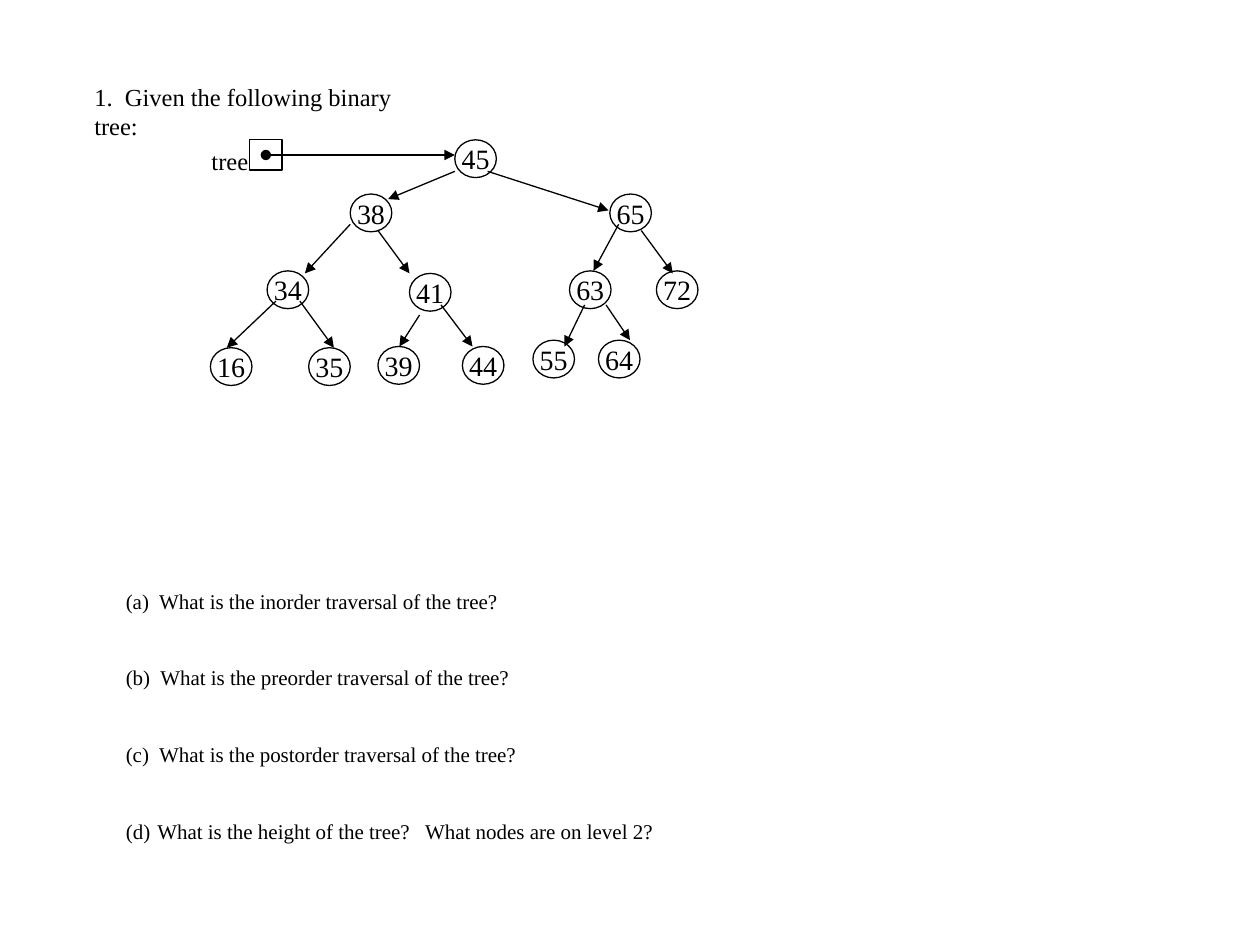
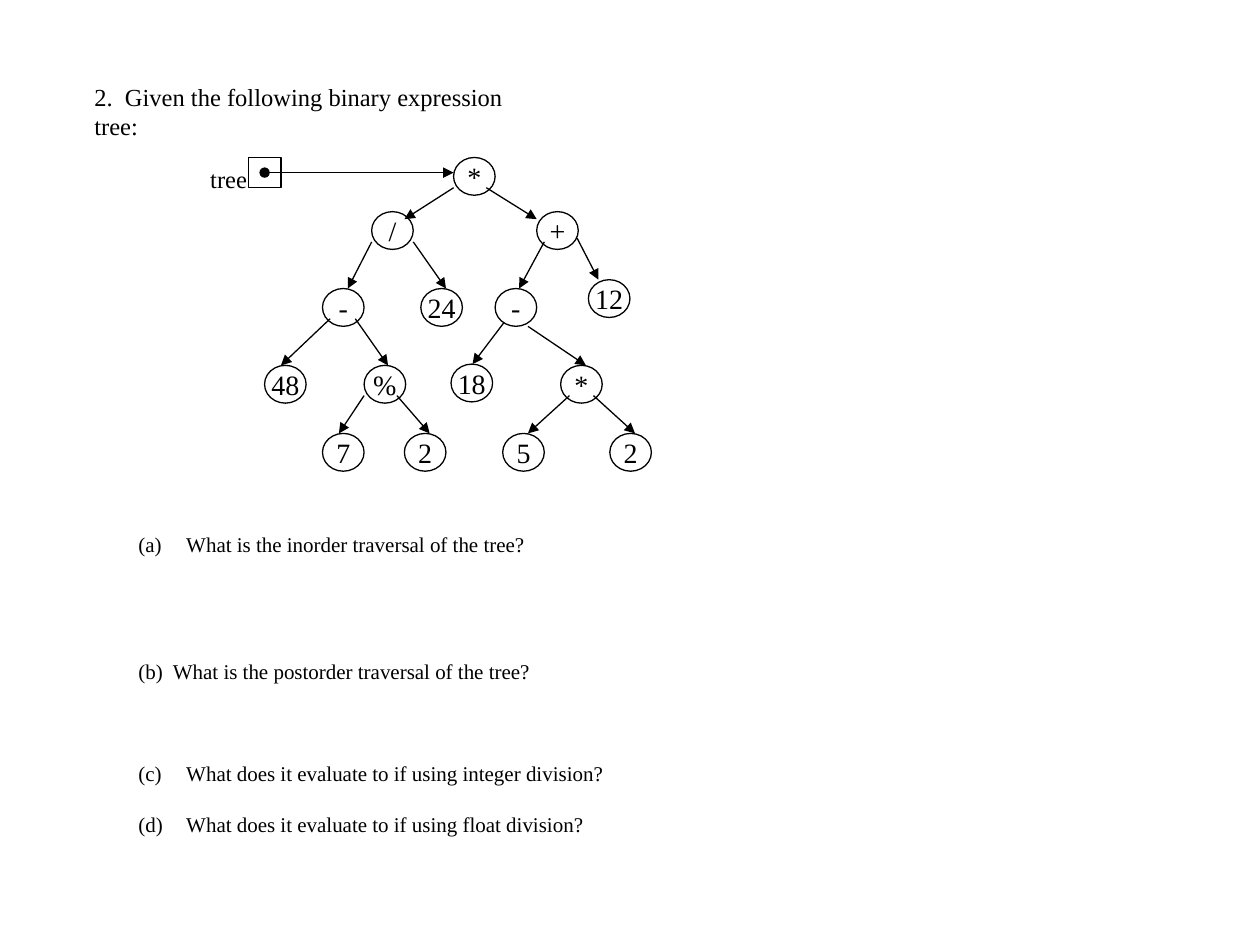
from dataclasses import dataclass

from lxml.etree import SubElement
from pptx import Presentation
from pptx.dml.color import RGBColor
from pptx.enum.shapes import MSO_CONNECTOR, MSO_SHAPE
from pptx.enum.text import MSO_ANCHOR, PP_ALIGN
from pptx.oxml.ns import qn
from pptx.util import Inches, Pt


@dataclass(frozen=True)
class Theme:
    ink: RGBColor = RGBColor(0, 0, 0)
    font: str = "Times New Roman"
    heading: float = 14
    node: float = 16
    question: float = 12
    question_height: float = 13.8
    question_pitch: float = 14.4
    stroke: float = 0.75
    node_width: float = 0.33
    node_height: float = 0.3


THEME = Theme()

SEARCH_NODES = [
    ("45", 3.61, 1.11), ("38", 2.78, 1.54), ("65", 4.84, 1.54),
    ("34", 2.12, 2.15), ("41", 3.25, 2.17), ("63", 4.52, 2.15),
    ("72", 5.21, 2.15), ("16", 1.67, 2.76), ("35", 2.45, 2.76),
    ("39", 3, 2.75), ("44", 3.67, 2.75), ("55", 4.23, 2.7),
    ("64", 4.75, 2.7),
]
SEARCH_ARROWS = [
    (3.61, 1.36, 3.08, 1.58), (3.87, 1.36, 4.83, 1.67),
    (2.78, 1.78, 2.42, 2.17), (3, 1.83, 3.25, 2.17),
    (4.91, 1.78, 4.71, 2.15), (5.09, 1.83, 5.34, 2.17),
    (2.19, 2.39, 1.8, 2.76), (2.38, 2.39, 2.65, 2.76),
    (3.33, 2.5, 3.17, 2.75), (3.5, 2.42, 3.75, 2.75),
    (4.64, 2.42, 4.48, 2.75), (4.81, 2.42, 5, 2.7),
]
SEARCH_QUESTIONS = [
    (0, "(a)  What is the inorder traversal of the tree?", 0, None),
    (3, "(b)  What is the preorder traversal of the tree?", 0, None),
    (3, "(c)  What is the postorder traversal of the tree?", 0, None),
    (3, "What is the height of the tree?   What nodes are on level 2?", 0.25, 4),
]

EXPRESSION_NODES = [
    ("*", 3.6, 1.25), ("/", 2.95, 1.68), ("+", 4.26, 1.68),
    ("-", 2.56, 2.29), ("24", 3.34, 2.29), ("-", 3.93, 2.29),
    ("12", 4.67, 2.22), ("48", 2.1, 2.9), ("%", 2.89, 2.9),
    ("18", 3.58, 2.89), ("*", 4.45, 2.9), ("7", 2.56, 3.44),
    ("2", 3.21, 3.44), ("5", 3.99, 3.44), ("2", 4.84, 3.44),
]
EXPRESSION_ARROWS = [
    (3.6, 1.49, 3.21, 1.74), (3.86, 1.49, 4.26, 1.74),
    (2.95, 1.92, 2.76, 2.29), (3.28, 1.92, 3.54, 2.29),
    (4.32, 1.92, 4.12, 2.29), (4.58, 1.89, 4.75, 2.22),
    (2.62, 2.53, 2.23, 2.9), (2.82, 2.53, 3.08, 2.9),
    (4, 2.56, 3.75, 2.89), (4.19, 2.59, 4.65, 2.9),
    (2.89, 3.14, 2.69, 3.44), (3.15, 3.14, 3.41, 3.44),
    (4.52, 3.14, 4.19, 3.44), (4.71, 3.14, 5.04, 3.44),
]
EXPRESSION_QUESTIONS = [
    (0, "What is the inorder traversal of the tree?", 0.38, 1),
    (5, "(b)  What is the postorder traversal of the tree?", 0, None),
    (4, "What does it evaluate to if using integer division?", 0.38, 3),
    (2, "What does it evaluate to if using float division?", 0.38, 4),
]


def style_runs(para, size):
    for span in para.runs:
        span.font.name = THEME.font
        span.font.size = Pt(size)
        span.font.color.rgb = THEME.ink


def add_text(shapes, text, left, top, width, height, wrap=True):
    box = shapes.add_textbox(Inches(left), Inches(top), Inches(width), Inches(height))
    box.text_frame.word_wrap = wrap
    box.text_frame.text = text
    style_runs(box.text_frame.paragraphs[0], THEME.heading)


def add_outline(shapes, kind, left, top, width, height):
    shape = shapes.add_shape(
        kind, Inches(left), Inches(top), Inches(width), Inches(height))
    shape.shadow.inherit = False
    shape.fill.background()
    shape.line.color.rgb = THEME.ink
    shape.line.width = Pt(THEME.stroke)
    return shape


def add_node(shapes, label, left, top):
    node = add_outline(shapes, MSO_SHAPE.OVAL, left, top,
                       THEME.node_width, THEME.node_height)
    frame = node.text_frame
    frame.word_wrap = False
    frame.vertical_anchor = MSO_ANCHOR.MIDDLE
    frame.margin_left = frame.margin_right = 0
    frame.margin_top = frame.margin_bottom = 0
    frame.text = label
    frame.paragraphs[0].alignment = PP_ALIGN.CENTER
    style_runs(frame.paragraphs[0], THEME.node)


def add_arrow(shapes, start_x, start_y, end_x, end_y, dotted_start=False):
    arrow = shapes.add_connector(
        MSO_CONNECTOR.STRAIGHT, Inches(start_x), Inches(start_y),
        Inches(end_x), Inches(end_y))
    arrow.line.color.rgb = THEME.ink
    arrow.line.width = Pt(THEME.stroke)
    line = arrow.line._get_or_add_ln()
    if dotted_start:
        SubElement(line, qn("a:headEnd"), type="oval")
    SubElement(line, qn("a:tailEnd"), type="triangle")
    SubElement(arrow._element.spPr, qn("a:effectLst"))


def add_root_pointer(shapes, root_left, root_top):
    add_outline(shapes, MSO_SHAPE.RECTANGLE, root_left - 1.63, root_top, 0.26, 0.24)
    add_text(shapes, "tree", root_left - 2.03, root_top, 0.49, 0.33, wrap=False)
    add_arrow(shapes, root_left - 1.5, root_top + 0.12,
              root_left, root_top + 0.12, dotted_start=True)


def add_tree(slide, nodes, arrows):
    shapes = slide.shapes.add_group_shape().shapes
    for label, left, top in nodes:
        add_node(shapes, label, left, top)
    for ends in arrows:
        add_arrow(shapes, *ends)
    root_left, root_top = nodes[0][1:]
    add_root_pointer(shapes, root_left, root_top)


def add_questions(slide, questions, left, top, width, height):
    box = slide.shapes.add_textbox(
        Inches(left), Inches(top), Inches(width), Inches(height))
    frame = box.text_frame
    frame.word_wrap = True
    frame.text = "\n".join(text for _, text, _, _ in questions)
    for para, (lines, _, indent, number) in zip(frame.paragraphs, questions):
        style_runs(para, THEME.question)
        if lines:
            para.space_before = Pt(lines * THEME.question_pitch - THEME.question_height)
        if number:
            properties = para._p.get_or_add_pPr()
            properties.set("marL", str(Inches(indent)))
            properties.set("indent", str(-Inches(indent)))
            SubElement(properties, qn("a:buAutoNum"),
                       type="alphaLcParenBoth", startAt=str(number))


def add_exercise(deck, heading, heading_width, nodes, arrows, questions, area):
    slide = deck.slides.add_slide(deck.slide_layouts[6])
    add_text(slide.shapes, heading, 0.65, 0.6, heading_width, 0.33)
    add_questions(slide, questions, *area)
    add_tree(slide, nodes, arrows)


def main():
    deck = Presentation()
    deck.slide_width = Inches(10)
    deck.slide_height = Inches(7.5)
    add_exercise(deck, "1.  Given the following binary tree:", 2.9,
                 SEARCH_NODES, SEARCH_ARROWS, SEARCH_QUESTIONS,
                 (0.9, 4.62, 4.45, 2.32))
    add_exercise(deck, "2.  Given the following binary expression tree:", 3.78,
                 EXPRESSION_NODES, EXPRESSION_ARROWS, EXPRESSION_QUESTIONS,
                 (1, 4.17, 3.94, 3.13))
    deck.save("out.pptx")


main()
